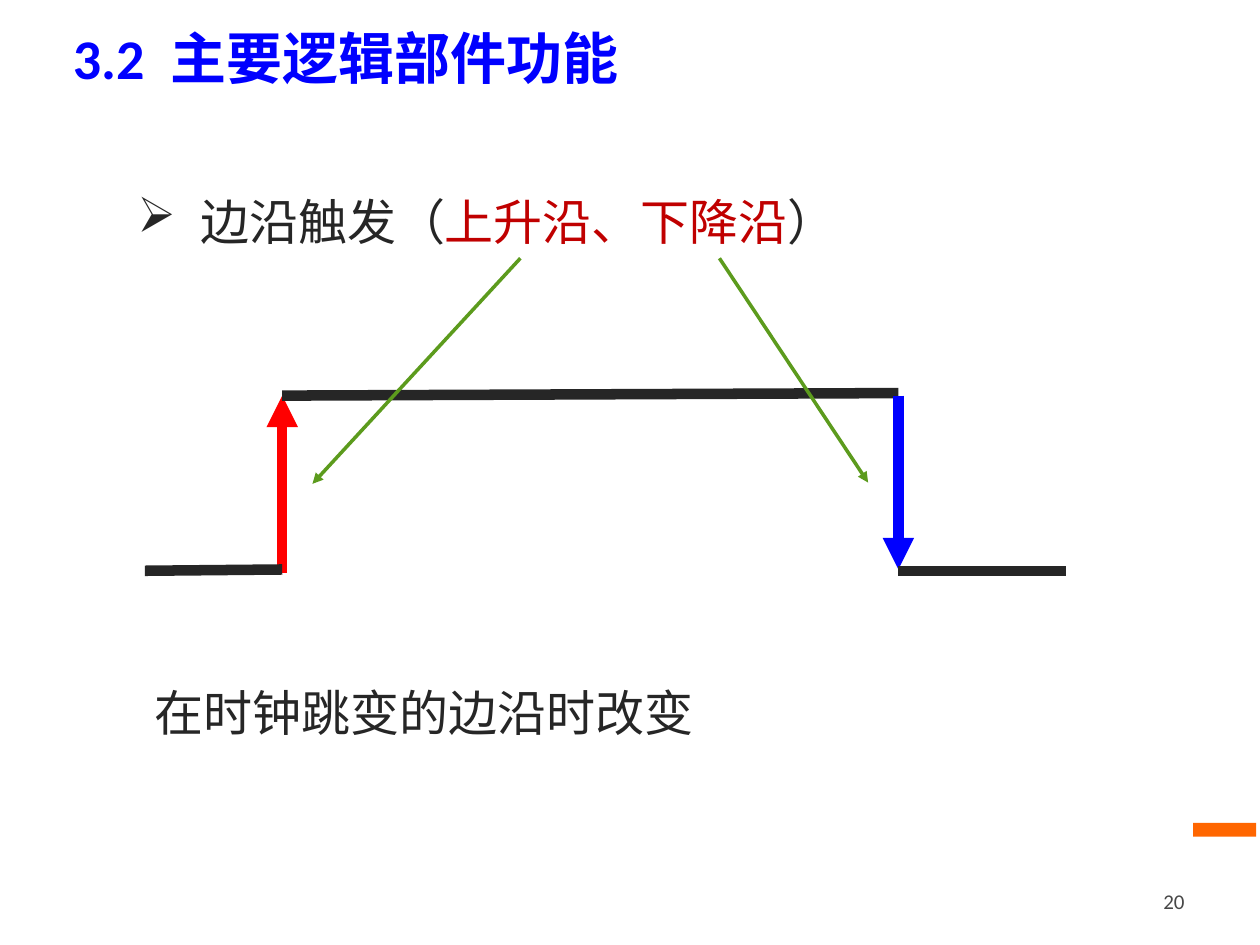
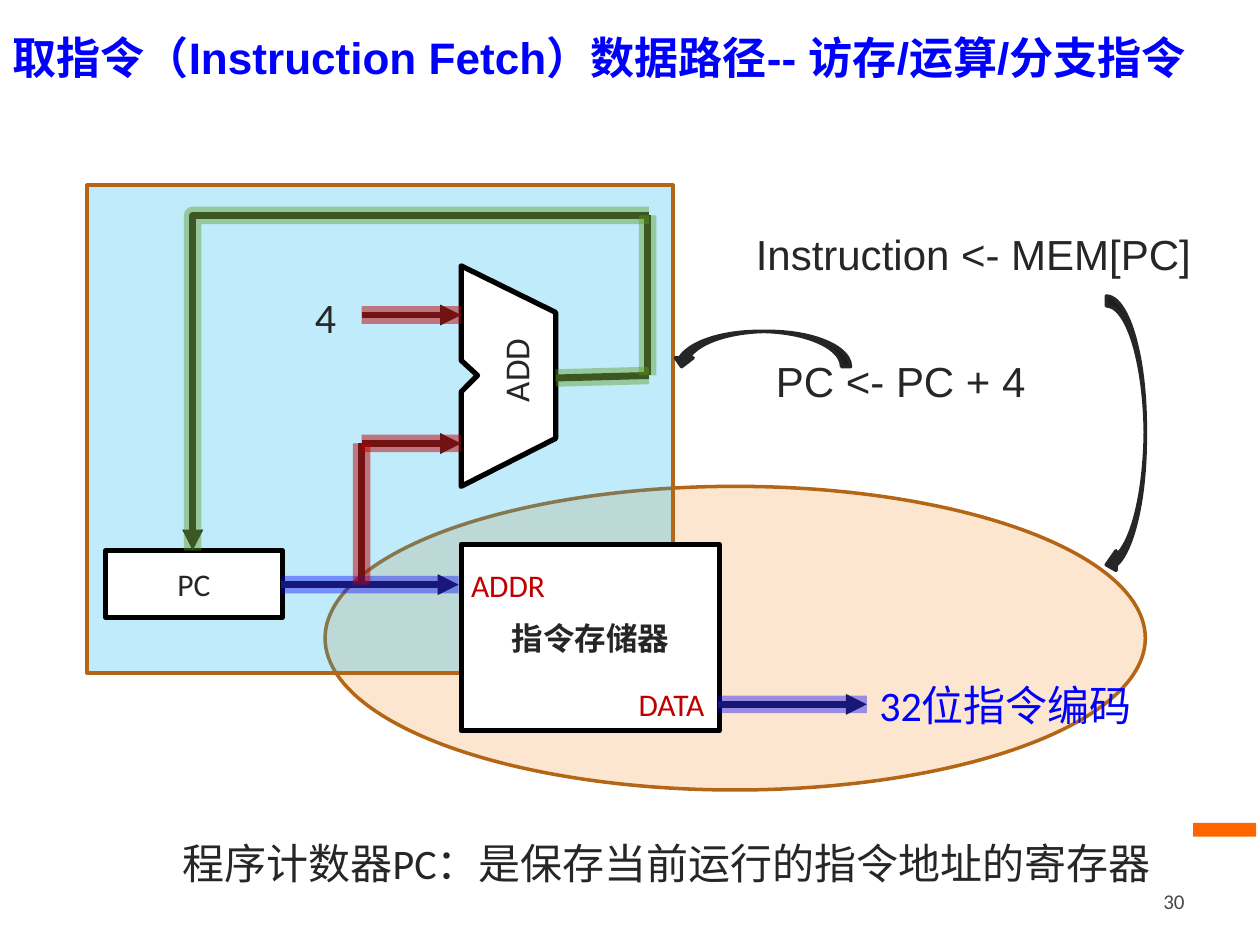
from lxml.etree import SubElement
from pptx import Presentation
from pptx.dml.color import RGBColor
from pptx.enum.shapes import MSO_CONNECTOR as Connector, MSO_SHAPE as Shape
from pptx.enum.text import MSO_ANCHOR as Anchor, PP_ALIGN as Align
from pptx.oxml.ns import qn
from pptx.util import Inches, Pt

INK, BLUE, RED, GREEN = "262626", "0000FF", "C00000", "5C9B1D"
BROWN, ORANGE, GREY = "B56516", "FF6600", "474747"
BLACK, WHITE = "000000", "FFFFFF"


def color(value):
    return RGBColor.from_string(value)


def set_alpha(parent, percent):
    for node in parent.iter(qn("a:srgbClr")):
        SubElement(node, qn("a:alpha"), val=str(percent * 1000))


def write(frame, text, size=18, fill=INK, font="Calibri", bold=False, align=Align.LEFT,
          anchor=Anchor.TOP, wrap=True, margin=0.1, left=0, indent=0, bullet=None,
          spacing=None, vertical=None):
    frame.word_wrap = wrap
    frame.vertical_anchor = anchor
    frame.margin_left = frame.margin_right = Inches(margin)
    frame.margin_top = frame.margin_bottom = Inches(0.05)
    if vertical:
        frame._txBody.bodyPr.set("vert", vertical)
    paragraph = frame.paragraphs[0]
    properties = paragraph._p.get_or_add_pPr()
    properties.set("marL", str(Inches(left)))
    properties.set("indent", str(Inches(indent)))
    if bullet:
        SubElement(properties, qn("a:buChar"), char=bullet)
    paragraph.alignment = align
    if spacing:
        paragraph.line_spacing = spacing
    parts = [(text, fill)] if isinstance(text, str) else text
    for content, run_color in parts:
        run = paragraph.add_run()
        run.text = content
        run.font.size = Pt(size)
        run.font.name = font
        run.font.bold = bold
        run.font.color.rgb = color(run_color)


class Deck:
    def __init__(self):
        self.presentation = Presentation()
        self.presentation.slide_width = Inches(10)
        self.presentation.slide_height = Inches(7.5)
        self.slide = None

    def new_slide(self, title, number, width, **format):
        self.slide = self.presentation.slides.add_slide(self.presentation.slide_layouts[6])
        self.shape(Shape.RECTANGLE, (9.47, 6.53, 0.5, 0.11), ORANGE)
        self.text((format.pop("left_edge"), 0.08, width, 0.75), title, fill=BLUE, bold=True,
                  anchor=Anchor.MIDDLE, **format)
        self.text((7.17, 6.95, 2.33, 0.4), number, size=12, fill=GREY, align=Align.RIGHT,
                  anchor=Anchor.MIDDLE)

    def text(self, box, text, **format):
        shape = self.slide.shapes.add_textbox(*map(Inches, box))
        write(shape.text_frame, text, **format)

    def paint(self, shape, fill, line=None, width=2, alpha=None):
        shape.shadow.inherit = False
        shape.fill.solid()
        shape.fill.fore_color.rgb = color(fill)
        if alpha:
            set_alpha(shape.fill._xPr, alpha)
        if line:
            shape.line.color.rgb = color(line)
            shape.line.width = Pt(width)
        else:
            shape.line.fill.background()

    def shape(self, kind, box, fill, line=None, width=2, alpha=None, flip=False):
        shape = self.slide.shapes.add_shape(kind, *map(Inches, box))
        self.paint(shape, fill, line, width, alpha)
        if flip:
            shape._element.spPr.xfrm.set("flipH", "1")
        return shape

    def block(self, box, label, bold=False):
        shape = self.shape(Shape.RECTANGLE, box, WHITE, BLACK, 3)
        write(shape.text_frame, label, bold=bold, align=Align.CENTER, anchor=Anchor.MIDDLE)

    def outline(self, points, fill, line, width):
        corners = [(Inches(x), Inches(y)) for x, y in points]
        builder = self.slide.shapes.build_freeform(*corners[0], scale=1.0)
        builder.add_line_segments(corners[1:], close=True)
        self.paint(builder.convert_to_shape(), fill, line, width)

    def line(self, start, end, line=INK, width=4, arrow=False, bent=False, alpha=None):
        kind = Connector.ELBOW if bent else Connector.STRAIGHT
        connector = self.slide.shapes.add_connector(kind, *map(Inches, (*start, *end)))
        connector.line.color.rgb = color(line)
        connector.line.width = Pt(width)
        properties = connector._element.spPr
        if bent:
            properties.find(qn("a:prstGeom")).set("prst", "bentConnector2")
        if alpha:
            set_alpha(properties, alpha)
        if arrow:
            SubElement(connector.line._get_or_add_ln(), qn("a:tailEnd"), type="triangle")
        SubElement(properties, qn("a:effectLst"))


def build_edge_trigger(deck):
    deck.new_slide("3.2  主要逻辑部件功能", "20", 5.23, left_edge=0.48, size=32)
    deck.text((0.98, 1.47, 7.25, 0.58),
              [("边沿触发（", INK), ("上升沿、下降沿", RED), ("）", INK)],
              size=28, margin=0.11, left=0.5, indent=-0.5, bullet="➢")
    rise, fall, high, low = 2.24, 7.13, 3.14, 4.53
    deck.line((rise, 4.55), (rise, high), "FF0000", 6, arrow=True)
    deck.line((rise, high), (fall, 3.12), width=6)
    deck.line((1.15, low), (rise, 4.52), width=6)
    deck.line((fall, high), (fall, 4.52), BLUE, 6, arrow=True)
    deck.line((fall, low), (8.46, low), width=6)
    deck.line((4.13, 2.05), (2.48, 3.84), GREEN, 2, arrow=True)
    deck.line((5.71, 2.05), (6.89, 3.83), GREEN, 2, arrow=True)
    deck.text((1.12, 5.37, 7.25, 0.57), "在时钟跳变的边沿时改变", size=28, margin=0.11)


def build_instruction_fetch(deck):
    deck.new_slide("取指令（Instruction Fetch）数据路径-- 访存/运算/分支指令", "30", 10,
                   left_edge=0, size=25.2, font="Arial")
    deck.shape(Shape.OVAL, (2.58, 3.86, 6.51, 2.41), "F4891E", BROWN, alpha=21)
    deck.shape(Shape.RECTANGLE, (0.69, 1.47, 4.65, 3.87), "00B0F0", BROWN, alpha=25)
    deck.block((3.66, 4.32, 2.05, 1.48), "指令存储器", bold=True)
    deck.block((0.84, 4.37, 1.4, 0.53), "PC")

    left, right = 3.66, 4.41
    deck.outline([(left, 2.11), (left, 2.86), (3.79, 2.98), (left, 3.11), (left, 3.86),
                  (right, 3.48), (right, 2.48)], WHITE, BLACK, 3)

    labels = [
        ((3.64, 4.44, 0.8, 0.4), "ADDR", dict(fill=RED, wrap=False)),
        ((4.97, 5.39, 0.73, 0.4), "DATA", dict(fill=RED, wrap=False)),
        ((6.88, 5.34, 2.22, 0.5), "32位指令编码", dict(size=24, fill=BLUE)),
        ((3.82, 2.68, 0.54, 0.61), "ADD", dict(size=20, wrap=False, vertical="vert270")),
        ((2.4, 2.26, 0.37, 0.5), "4", dict(size=24, wrap=False)),
        ((5.9, 1.76, 4.1, 0.5), "Instruction <- MEM[PC]", dict(size=24, font="Arial")),
        ((6.06, 2.77, 2.2, 0.5), "PC <- PC + 4", dict(size=24, font="Arial")),
    ]
    for box, label, format in labels:
        deck.text(box, label, anchor=Anchor.MIDDLE, **format)

    address, data, operand = (BLUE, 39), (RED, 49), (GREEN, 41)
    wires = [
        ((2.23, 4.64), (3.64, 4.64), address, True, False),
        ((5.7, 5.59), (6.88, 5.59), address, True, False),
        ((2.87, 3.52), (left, 3.52), data, True, False),
        ((2.87, 4.64), (2.87, 3.52), data, False, False),
        ((2.87, 2.5), (left, 2.5), data, True, False),
        ((5.15, 1.71), (1.53, 4.37), operand, True, True),
        ((right, 3), (5.15, 2.98), operand, False, False),
        ((5.14, 2.98), (5.14, 1.71), operand, False, False),
    ]
    for start, end, _, arrow, bent in wires:
        deck.line(start, end, arrow=arrow, bent=bent)
    for start, end, (glow, alpha), _, bent in wires:
        deck.line(start, end, glow, 10, bent=bent, alpha=alpha)

    deck.shape(Shape.CURVED_LEFT_ARROW, (8.78, 2.35, 0.31, 2.21), INK, INK)
    deck.shape(Shape.CURVED_DOWN_ARROW, (5.34, 2.63, 1.41, 0.28), INK, INK, flip=True)
    deck.text((1.04, 6.5, 8.37, 0.61), "程序计数器PC：是保存当前运行的指令地址的寄存器",
              size=24, margin=0.11, indent=0.3, spacing=1.25)


def main():
    deck = Deck()
    build_edge_trigger(deck)
    build_instruction_fetch(deck)
    deck.presentation.save("out.pptx")


if __name__ == "__main__":
    main()
